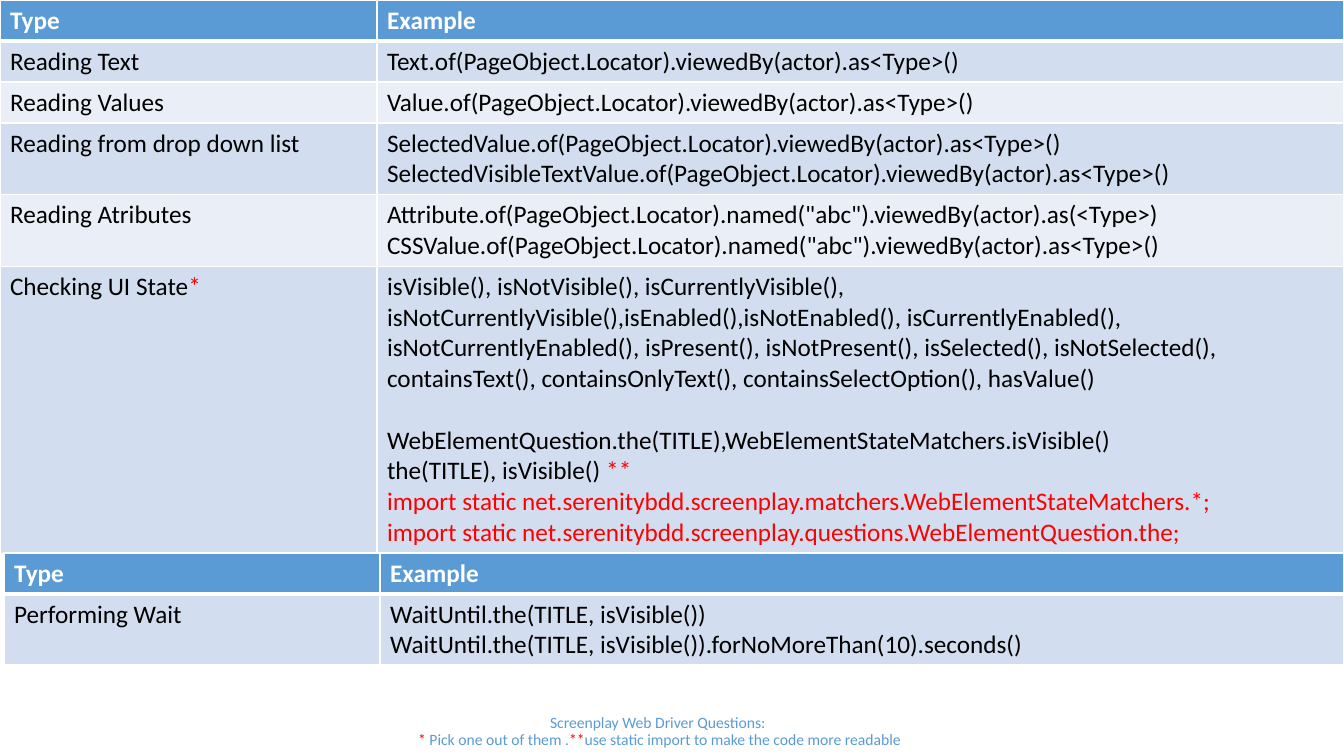
from lxml import etree
from pptx import Presentation
from pptx.dml.color import RGBColor
from pptx.enum.text import MSO_ANCHOR, PP_ALIGN
from pptx.oxml.ns import qn
from pptx.util import Pt

MIDDLE = MSO_ANCHOR.MIDDLE
CENTER = PP_ALIGN.CENTER
PX = 12192000 / 1344
COLORS = {"head": "5B9BD5", "odd": "D2DEEF", "even": "EAEFF7",
          "white": "FFFFFF", "black": "000000", "red": "FF0000"}


def write(frame, lines, size, color, bold=False):
    for n, line in enumerate(lines):
        para = frame.paragraphs[0] if n == 0 else frame.add_paragraph()
        for i, part in enumerate(line.split("|")):
            if part:
                run = para.add_run()
                run.text = part
                run.font.name = "Calibri"
                run.font.size = Pt(size)
                run.font.bold = bold
                run.font.color.rgb = RGBColor.from_string(COLORS["red" if i % 2 else color])


def grid(left, top, widths, heights, rows):
    box = [round(v * PX) for v in (left, top, sum(widths), sum(heights))]
    table = slide.shapes.add_table(len(rows), len(widths), *box).table
    for col, width in zip(table.columns, widths):
        col.width = round(width * PX)
    for r, (height, texts) in enumerate(zip(heights, rows)):
        table.rows[r].height = round(height * PX)
        shade = "head" if r == 0 else "odd" if r % 2 else "even"
        edges = {"lnL": 1, "lnR": 1, "lnT": 3 if r == 1 else 1, "lnB": 3 if r == 0 else 1}
        for c, lines in enumerate(texts):
            cell = table.cell(r, c)
            cell.fill.solid()
            cell.fill.fore_color.rgb = RGBColor.from_string(COLORS[shade])
            props = cell._tc.get_or_add_tcPr()
            for i, (tag, width) in enumerate(edges.items()):
                edge = etree.Element(qn("a:" + tag), w=str(Pt(width)))
                solid = etree.SubElement(edge, qn("a:solidFill"))
                etree.SubElement(solid, qn("a:srgbClr"), val=COLORS["white"])
                props.insert(i, edge)
            write(cell.text_frame, lines, 18, "black" if r else "white", r == 0)
    return table


deck = Presentation()
deck.slide_width = round(1344 * PX)
deck.slide_height = round(756 * PX)
slide = deck.slides.add_slide(deck.slide_layouts[6])

header = [["Type"], ["Example"]]
reads = [
    header,
    [["Reading Text"], ["Text.of(PageObject.Locator).viewedBy(actor).as<Type>()"]],
    [["Reading Values"], ["Value.of(PageObject.Locator).viewedBy(actor).as<Type>()"]],
    [["Reading from drop down list"],
     ["SelectedValue.of(PageObject.Locator).viewedBy(actor).as<Type>()",
      "SelectedVisibleTextValue.of(PageObject.Locator).viewedBy(actor).as<Type>()"]],
    [["Reading Atributes"],
     ['Attribute.of(PageObject.Locator).named("abc").viewedBy(actor).as(<Type>)',
      'CSSValue.of(PageObject.Locator).named("abc").viewedBy(actor).as<Type>()']],
    [["Checking UI State|*"],
     ["isVisible(), isNotVisible(), isCurrentlyVisible(), "
      "isNotCurrentlyVisible(),isEnabled(),isNotEnabled(), isCurrentlyEnabled(), "
      "isNotCurrentlyEnabled(), isPresent(), isNotPresent(), isSelected(), isNotSelected(), "
      "containsText(), containsOnlyText(), containsSelectOption(), hasValue()",
      "WebElementQuestion.the(TITLE),WebElementStateMatchers.isVisible()",
      "the(TITLE), isVisible() |**",
      "|import static net.serenitybdd.screenplay.matchers.WebElementStateMatchers.*;",
      "|import static net.serenitybdd.screenplay.questions.WebElementQuestion.the;"]],
]
table = grid(0, 0, [377, 967], [41, 41, 41, 71, 71, 287], reads)
table.cell(5, 1).text_frame.paragraphs[1].space_before = Pt(22)

note = slide.shapes.add_textbox(*[round(v * PX) for v in (80, 708, 1159, 48)]).text_frame
note.word_wrap = True
note.vertical_anchor = MIDDLE
write(note, ["Screenplay Web Driver Questions: ",
             "|*| Pick one out of them .|**|use static import to make the code more readable"],
      11.2, "head")
for para in note.paragraphs:
    para.alignment = CENTER
    para.line_spacing = 0.9

waits = [
    header,
    [["Performing Wait"],
     ["WaitUntil.the(TITLE, isVisible())",
      "WaitUntil.the(TITLE, isVisible()).forNoMoreThan(10).seconds()"]],
]
grid(4, 553, [376, 964], [41, 71], waits)

deck.save("out.pptx")
